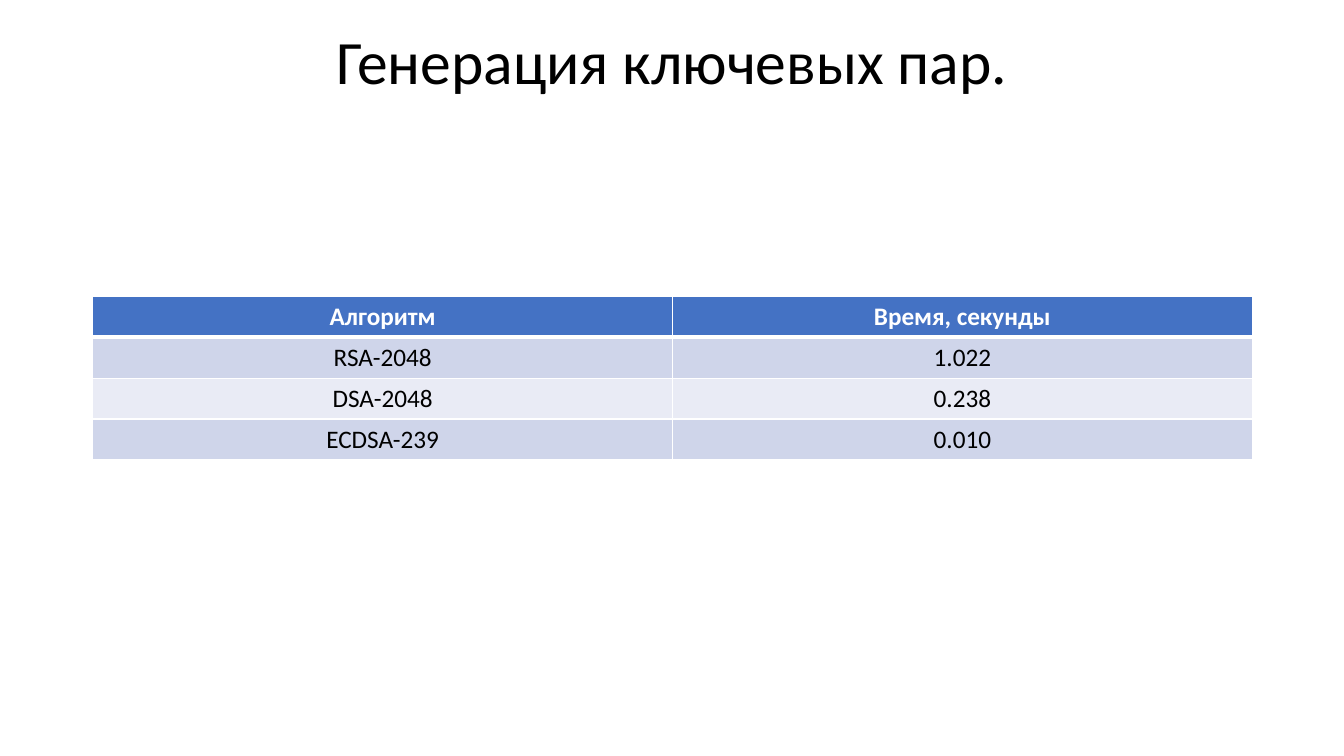
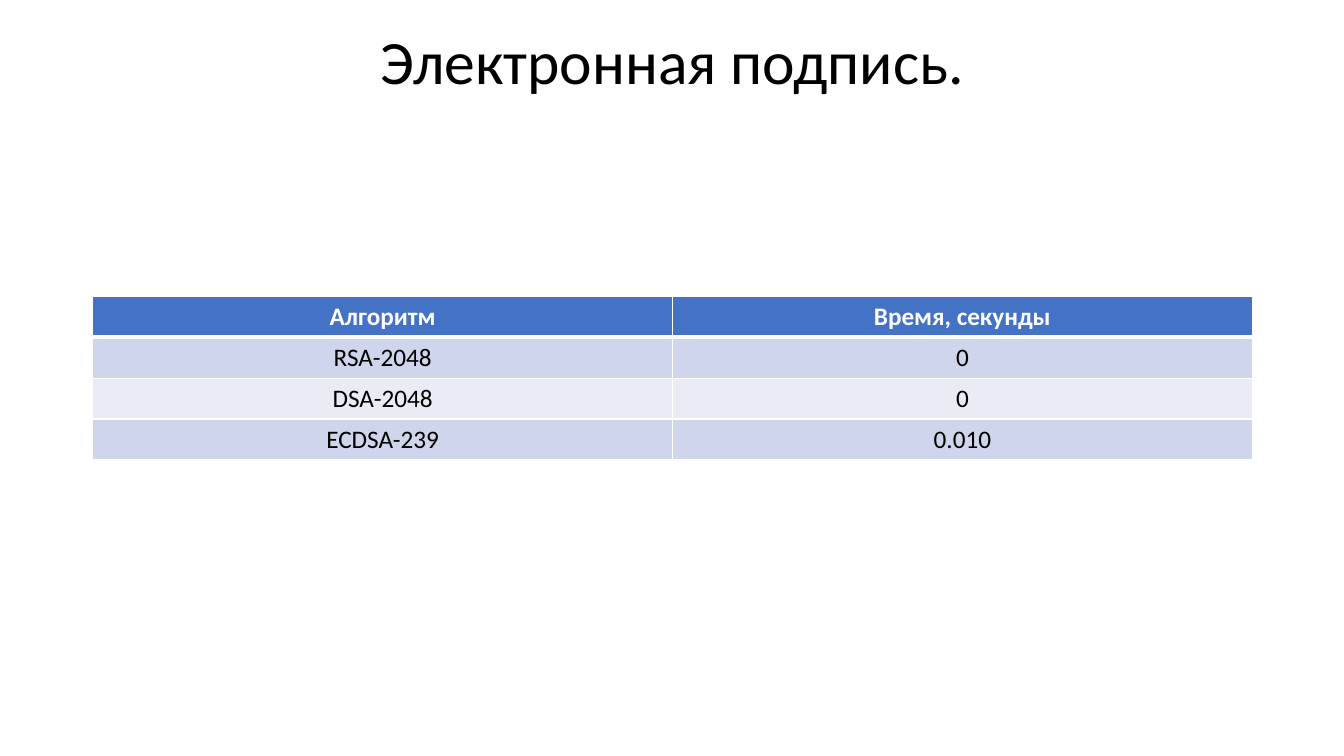
import pptx
import pptx.util
import pptx.dml.color
import pptx.enum.text
import lxml.etree
from dataclasses import dataclass

Inches = pptx.util.Inches
Pt = pptx.util.Pt
RGB = pptx.dml.color.RGBColor.from_string
Align = pptx.enum.text.PP_ALIGN
Anchor = pptx.enum.text.MSO_ANCHOR

HEAD = ("Алгоритм", "Время, секунды")
NAMES = ("RSA-2048", "DSA-2048", "ECDSA-239")
SLIDES = [
    ("Генерация ключевых пар.", ("1.022", "0.238", "0.010")),
    ("Электронная подпись.", ("0", "0", "0.010")),
]


@dataclass(frozen=True)
class Theme:
    font: str = "Calibri"
    title: int = 44
    body: int = 18
    ink: str = "000000"
    white: str = "FFFFFF"
    head: str = "4472C4"
    bands: tuple = ("CFD5EA", "E9EBF5")
    thin: int = 1
    thick: int = 3


THEME = Theme()
LEFT, WIDTH = Inches(0.92), Inches(11.5)
TITLE_TOP, TITLE_HIGH = Inches(0.16), Inches(0.96)
TABLE_TOP, TABLE_HIGH = Inches(2.94), Inches(1.62)


def style(frame, size, color, bold=False):
    frame.vertical_anchor = Anchor.MIDDLE
    for para in frame.paragraphs:
        para.alignment = Align.CENTER
        for run in para.runs:
            font = run.font
            font.name, font.size, font.bold = THEME.font, Pt(size), bold
            font.color.rgb = RGB(color)


def border(cell, sides):
    ns = pptx.oxml.ns.qn
    props = cell._tc.get_or_add_tcPr()
    for side, width in sides.items():
        line = lxml.etree.SubElement(props, ns("a:ln" + side), w=str(Pt(width)))
        fill = lxml.etree.SubElement(line, ns("a:solidFill"))
        lxml.etree.SubElement(fill, ns("a:srgbClr"), val=THEME.white)


def add_title(slide, text):
    title = slide.shapes.title
    title.left, title.top = LEFT, TITLE_TOP
    title.width, title.height = WIDTH, TITLE_HIGH
    frame = title.text_frame
    frame.text = text
    frame.paragraphs[0].line_spacing = 0.9
    style(frame, THEME.title, THEME.ink)


def add_grid(slide, rows):
    table = slide.shapes.add_table(
        len(rows), len(HEAD), LEFT, TABLE_TOP, WIDTH, TABLE_HIGH
    ).table
    for i, row in enumerate(rows):
        top = i == 0
        back = THEME.head if top else THEME.bands[(i - 1) % 2]
        sides = {
            "L": THEME.thin,
            "R": THEME.thin,
            "T": THEME.thick if i == 1 else THEME.thin,
            "B": THEME.thick if top else THEME.thin,
        }
        for j, text in enumerate(row):
            cell = table.cell(i, j)
            cell.text_frame.text = text
            style(cell.text_frame, THEME.body, THEME.white if top else THEME.ink, top)
            cell.vertical_anchor = Anchor.TOP
            border(cell, sides)
            cell.fill.solid()
            cell.fill.fore_color.rgb = RGB(back)


def main():
    deck = pptx.Presentation()
    deck.slide_width, deck.slide_height = Inches(13.33), Inches(7.5)
    for title, times in SLIDES:
        slide = deck.slides.add_slide(deck.slide_layouts[5])
        add_title(slide, title)
        add_grid(slide, [HEAD, *zip(NAMES, times)])
    deck.save("out.pptx")


if __name__ == "__main__":
    main()
